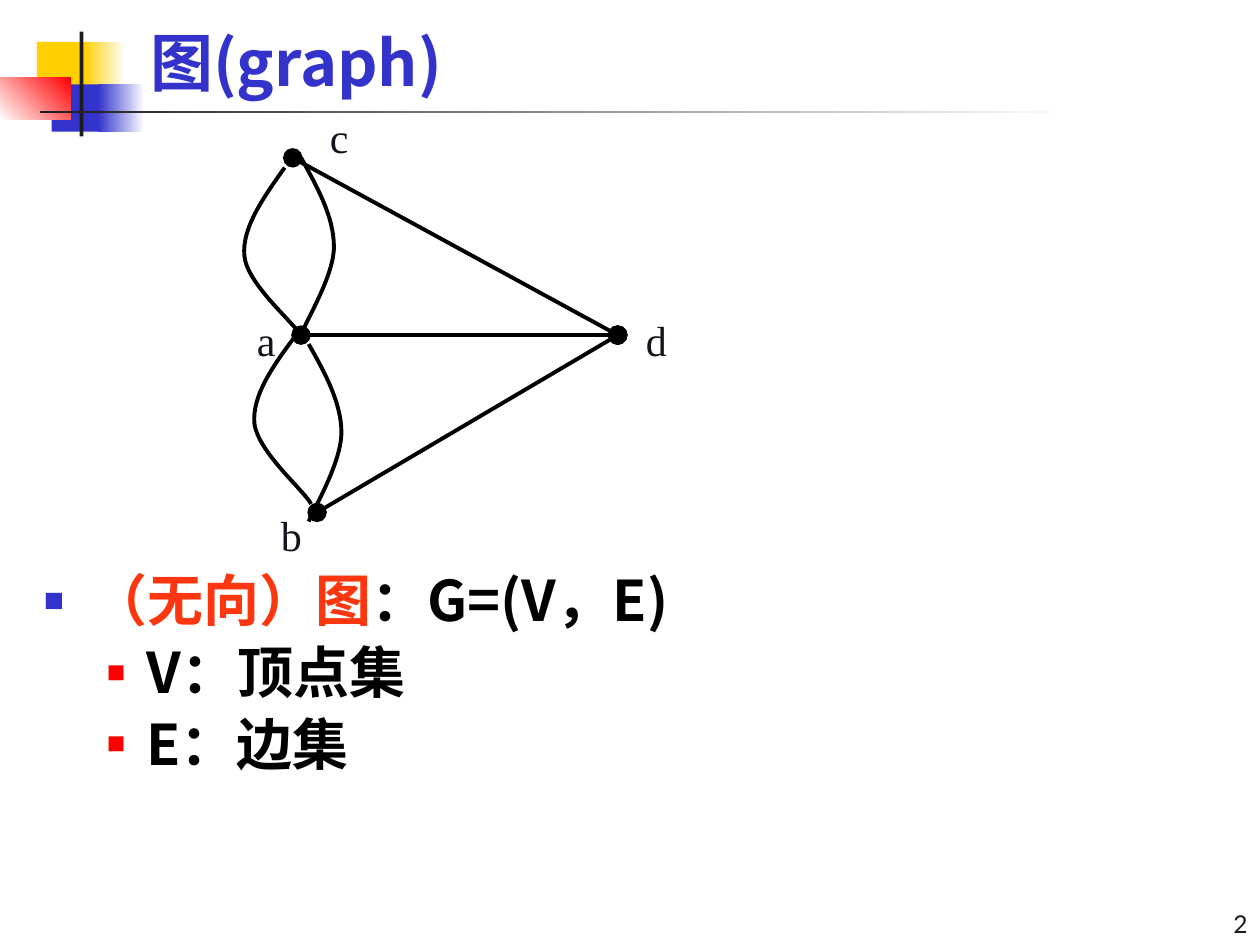
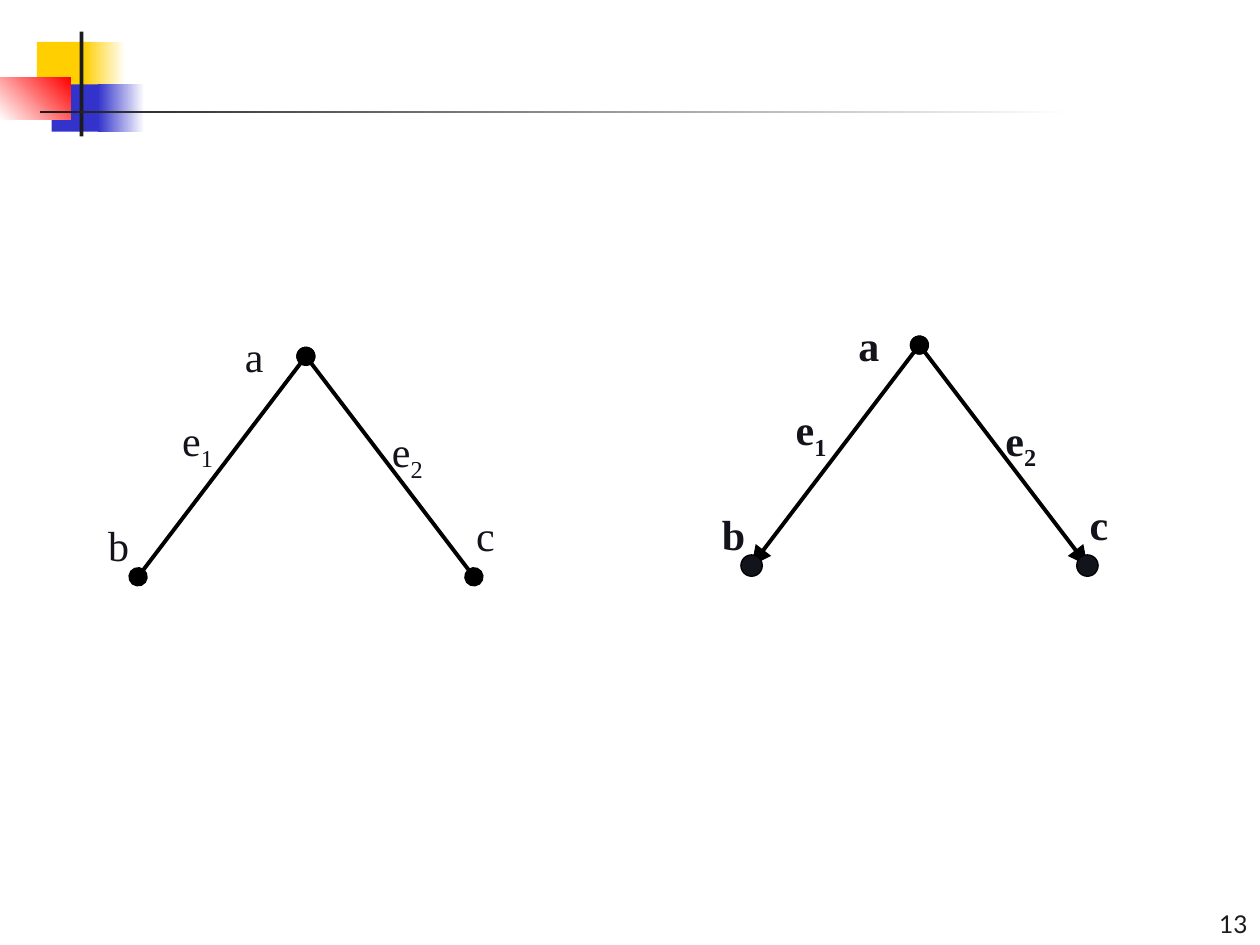
from dataclasses import dataclass

from lxml.etree import SubElement
from pptx import Presentation
from pptx.dml.color import RGBColor
from pptx.enum.shapes import MSO_CONNECTOR, MSO_SHAPE
from pptx.enum.text import MSO_ANCHOR, PP_ALIGN
from pptx.oxml.ns import qn
from pptx.slide import Slide
from pptx.text.text import _Paragraph as Paragraph
from pptx.util import Pt

BLACK = RGBColor(0x00, 0x00, 0x00)
WHITE = RGBColor(0xFF, 0xFF, 0xFF)
BLUE = RGBColor(0x33, 0x33, 0xCC)
YELLOW = RGBColor(0xFF, 0xCF, 0x01)
RED = RGBColor(0xFF, 0x00, 0x00)
TERM_RED = RGBColor(0xFC, 0x36, 0x0E)
CHARCOAL = RGBColor(0x1C, 0x1C, 0x1C)
INK = RGBColor(0x13, 0x13, 0x1B)

HEADING_FONT = "Noto Sans CJK SC"
LABEL_FONT = "Times New Roman"
NUMBER_FONT = "Lato"

EDGE_WIDTH = 2.25
LABEL_HEIGHT = 36
NODE_SIZE = 12.24

Point = tuple[float, float]


@dataclass(frozen=True)
class Band:
    """A rectangle of the slide ornament, solid or fading to a second colour."""
    left: float
    top: float
    width: float
    height: float
    colour: RGBColor
    fade: RGBColor | None = None
    angle: float = 0


@dataclass(frozen=True)
class Label:
    """A node or edge name with an optional subscript."""
    text: str
    left: float
    top: float
    width: float
    subscript: str = ""


@dataclass(frozen=True)
class Bullet:
    """A bulleted line with an optional highlighted term in front."""
    text: str
    level: int
    margin: float
    hanging: float
    colour: RGBColor
    percent: int
    term: str = ""


BANDS = (
    Band(21, 24, 32, 27.5, YELLOW),
    Band(48, 24, 23.6, 27.5, YELLOW, WHITE),
    Band(29.5, 48.2, 30.5, 27, BLUE),
    Band(56, 48.2, 26.5, 27, BLUE, WHITE),
    Band(0, 44.2, 40.5, 24.2, WHITE, RED, 45),
    Band(45.5, 18, 2.2, 60, CHARCOAL),
    Band(22.75, 63.5, 590, 1.3, CHARCOAL, WHITE),
)

HUB_D = (353, 191.5)
SPOKES = ((167.3, 90.2), (181.2, 292.8), (172, 191.5))
CURVES = (
    ((162.7, 95.8), (150.5, 113), (138.2, 130.3), (139.7, 146.2),
     (141.1, 162), (167, 183.6), (172, 191.5)),
    ((169.2, 191.5), (156.2, 208.8), (144, 226), (145.4, 242),
     (147.6, 258.5), (173.5, 280), (177.8, 288)),
    ((172, 90), (181.4, 107.3), (190.8, 123.8), (190.8, 141.1),
     (190.8, 157.7), (175, 182.9), (172, 191.5)),
    ((176.4, 196.6), (185.8, 213.1), (195.1, 230.4), (195.1, 247),
     (195.1, 264.2), (180, 289.4), (176.4, 298)),
)
GRAPH_LABELS = (
    Label("c", 181.4, 60.1, 24.5),
    Label("a", 139.7, 176.4, 24.5),
    Label("b", 153.4, 287.7, 24.5),
    Label("d", 362, 176.4, 24.5),
)
BULLETS = (
    Bullet("：G=(V，E)", 0, 27, 27, BLUE, 60, "（无向）图"),
    Bullet("V：顶点集", 1, 58.5, 22.5, RED, 55),
    Bullet("E：边集", 1, 58.5, 22.5, RED, 55),
)

TREE_APEX = (174.8, 203.6)
TREE_LEAVES = ((78.9, 329.6), (270.8, 329.6))
TREE_LABELS = (
    Label("a", 132.9, 185.5, 30),
    Label("b", 54.8, 293.5, 30),
    Label("c", 265, 287.6, 30),
    Label("e", 97, 233.5, 42, "1"),
    Label("e", 216.9, 239.6, 42, "2"),
)
DIRECTED_SHIFT = (350.6, -6.4)


def add_span(para: Paragraph, text: str, *, font: str, size: float, colour: RGBColor,
             bold: bool = False, baseline: int = 0) -> None:
    """Append formatted text to a paragraph."""
    span = para.add_run()
    span.text = text
    span.font.name = font
    span.font.size = Pt(size)
    span.font.bold = bold
    span.font.color.rgb = colour
    properties = span._r.get_or_add_rPr()
    SubElement(properties, qn("a:ea")).set("typeface", font)
    if baseline:
        properties.set("baseline", str(baseline))


def add_box(page: Slide, left: float, top: float, width: float, height: float,
            anchor: MSO_ANCHOR = MSO_ANCHOR.TOP):
    """Add a wrapping text box and return its text frame."""
    frame = page.shapes.add_textbox(Pt(left), Pt(top), Pt(width), Pt(height)).text_frame
    frame.word_wrap = True
    frame.vertical_anchor = anchor
    return frame


def draw_band(page: Slide, band: Band) -> None:
    """Draw one rectangle of the ornament."""
    shape = page.shapes.add_shape(MSO_SHAPE.RECTANGLE, Pt(band.left), Pt(band.top),
                                  Pt(band.width), Pt(band.height))
    shape.shadow.inherit = False
    shape.line.fill.background()
    if band.fade is None:
        shape.fill.solid()
        shape.fill.fore_color.rgb = band.colour
        return
    shape.fill.gradient()
    shape.fill.gradient_angle = band.angle
    for stop, colour in zip(shape.fill.gradient_stops, (band.colour, band.fade)):
        stop.color.rgb = colour


def add_page(deck, number: int) -> Slide:
    """Add a slide with the ornament and its page number."""
    page = deck.slides.add_slide(deck.slide_layouts[6])
    for band in BANDS:
        draw_band(page, band)
    para = add_box(page, 624, 510, 96, 30, MSO_ANCHOR.BOTTOM).paragraphs[0]
    para.alignment = PP_ALIGN.RIGHT
    add_span(para, str(number), font=NUMBER_FONT, size=14, colour=CHARCOAL)
    return page


def draw_edge(page: Slide, start: Point, end: Point, tail: str = "oval") -> None:
    """Draw a straight edge with a large dot at its start."""
    edge = page.shapes.add_connector(MSO_CONNECTOR.STRAIGHT, *map(Pt, start + end))
    edge.line.color.rgb = BLACK
    edge.line.width = Pt(EDGE_WIDTH)
    line = edge.line._get_or_add_ln()
    for tag, kind in (("a:headEnd", "oval"), ("a:tailEnd", tail)):
        mark = SubElement(line, qn(tag))
        for name, value in (("type", kind), ("w", "lg"), ("len", "lg")):
            mark.set(name, value)
    SubElement(edge._element.spPr, qn("a:effectLst"))


def draw_curve(page: Slide, controls: tuple[Point, ...]) -> None:
    """Draw a chain of cubic curves as one open outline."""
    builder = page.shapes.build_freeform(*map(Pt, controls[0]))
    builder.add_line_segments([(Pt(x), Pt(y)) for x, y in controls[1:]], close=False)
    curve = builder.convert_to_shape()
    curve.shadow.inherit = False
    curve.fill.background()
    curve.line.color.rgb = BLACK
    curve.line.width = Pt(EDGE_WIDTH)
    segments = list(curve._element.iter(qn("a:lnTo")))
    for first, second, third in zip(segments[::3], segments[1::3], segments[2::3]):
        first.tag = qn("a:cubicBezTo")
        for segment in (second, third):
            first.append(segment[0])
            segment.getparent().remove(segment)


def draw_label(page: Slide, label: Label, shift: Point = (0, 0), bold: bool = False) -> None:
    """Write a node or edge name."""
    frame = add_box(page, label.left + shift[0], label.top + shift[1], label.width, LABEL_HEIGHT)
    style = dict(font=LABEL_FONT, size=24, colour=INK, bold=bold)
    add_span(frame.paragraphs[0], label.text, **style)
    if label.subscript:
        add_span(frame.paragraphs[0], label.subscript, baseline=-25000, **style)


def draw_node(page: Slide, centre: Point) -> None:
    """Draw a round node about its centre."""
    left, top = (Pt(value - NODE_SIZE / 2) for value in centre)
    node = page.shapes.add_shape(MSO_SHAPE.OVAL, left, top, Pt(NODE_SIZE), Pt(NODE_SIZE))
    node.shadow.inherit = False
    node.fill.solid()
    node.fill.fore_color.rgb = INK
    node.line.color.rgb = BLACK
    node.line.width = Pt(0.75)


def draw_tree(page: Slide, shift: Point = (0, 0), directed: bool = False) -> None:
    """Draw the two-edge tree, with arrows when directed."""
    def moved(point: Point) -> Point:
        """Shift a point of the tree."""
        return point[0] + shift[0], point[1] + shift[1]

    for leaf in TREE_LEAVES:
        draw_edge(page, moved(TREE_APEX), moved(leaf), "triangle" if directed else "oval")
        if directed:
            draw_node(page, moved(leaf))
    for label in TREE_LABELS:
        draw_label(page, label, shift, directed)


def write_bullet(para: Paragraph, bullet: Bullet) -> None:
    """Write one bulleted line."""
    para.alignment = PP_ALIGN.JUSTIFY
    para.level = bullet.level
    para.line_spacing = 0.9
    if bullet.level:
        para.space_before = Pt(6.4)
    properties = para._p.get_or_add_pPr()
    properties.set("marL", str(Pt(bullet.margin)))
    properties.set("indent", str(-Pt(bullet.hanging)))
    colour = SubElement(properties, qn("a:buClr"))
    SubElement(colour, qn("a:srgbClr")).set("val", str(bullet.colour))
    SubElement(properties, qn("a:buSzPct")).set("val", str(bullet.percent * 1000))
    SubElement(properties, qn("a:buFont")).set("typeface", LABEL_FONT)
    SubElement(properties, qn("a:buChar")).set("char", "■")
    style = dict(font=HEADING_FONT, size=32, bold=True)
    if bullet.term:
        add_span(para, bullet.term, colour=TERM_RED, **style)
    add_span(para, bullet.text, colour=BLACK, **style)


def build_graph_page(deck) -> None:
    """Build the slide that defines a graph."""
    page = add_page(deck, 2)
    title = add_box(page, 78.75, 12, 606, 48, MSO_ANCHOR.BOTTOM).paragraphs[0]
    add_span(title, "图(graph)", font=HEADING_FONT, size=36, colour=BLUE, bold=True)
    for end in SPOKES:
        draw_edge(page, HUB_D, end)
    for controls in CURVES:
        draw_curve(page, controls)
    for label in GRAPH_LABELS:
        draw_label(page, label)
    frame = add_box(page, 18, 324, 702, 127.5)
    for index, bullet in enumerate(BULLETS):
        write_bullet(frame.add_paragraph() if index else frame.paragraphs[0], bullet)


def build_tree_page(deck) -> None:
    """Build the slide with an undirected and a directed tree."""
    page = add_page(deck, 13)
    draw_tree(page)
    draw_tree(page, DIRECTED_SHIFT, directed=True)


def main() -> None:
    """Build and save the deck."""
    deck = Presentation()
    deck.slide_width, deck.slide_height = Pt(720), Pt(540)
    build_graph_page(deck)
    build_tree_page(deck)
    deck.save("out.pptx")


if __name__ == "__main__":
    main()
